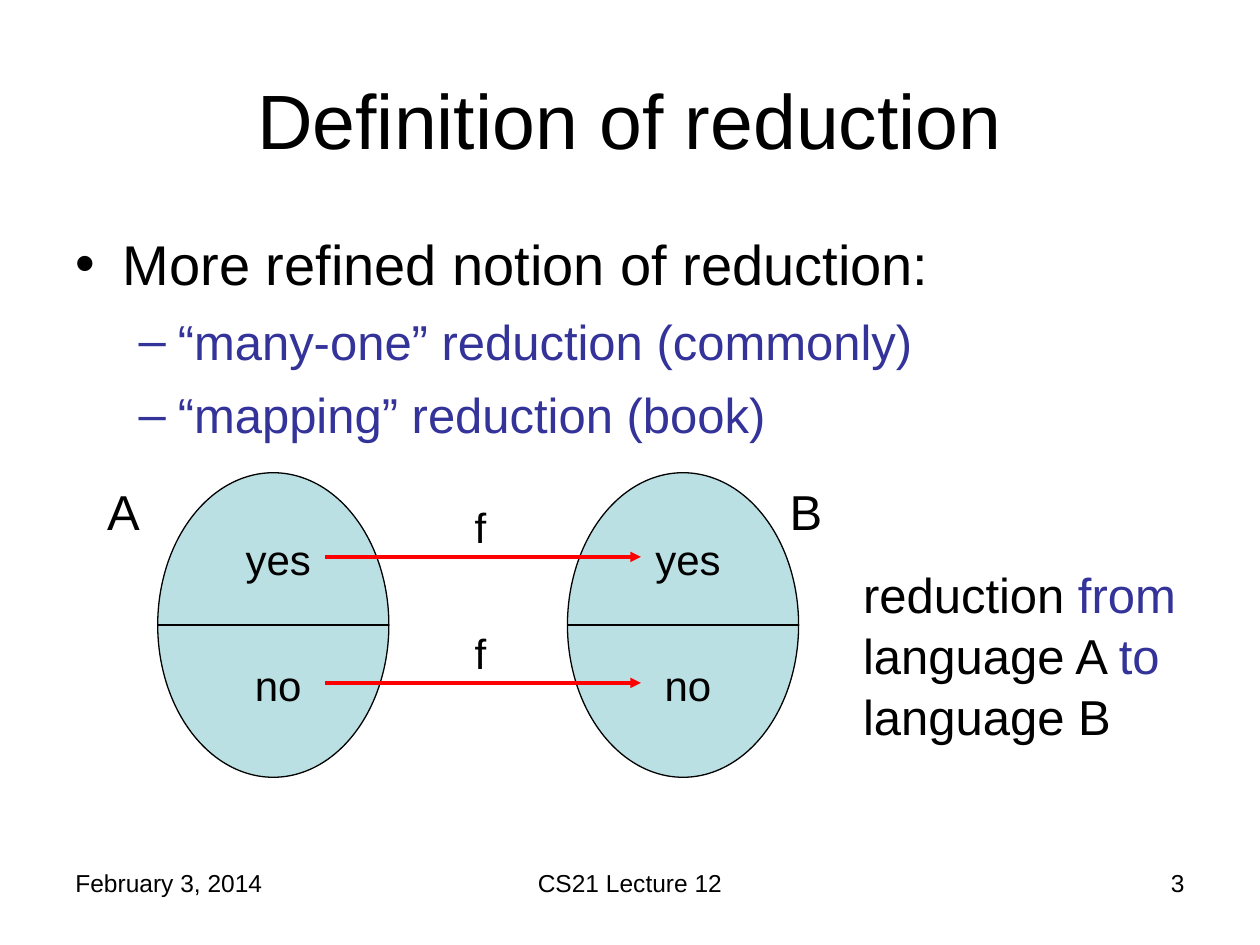
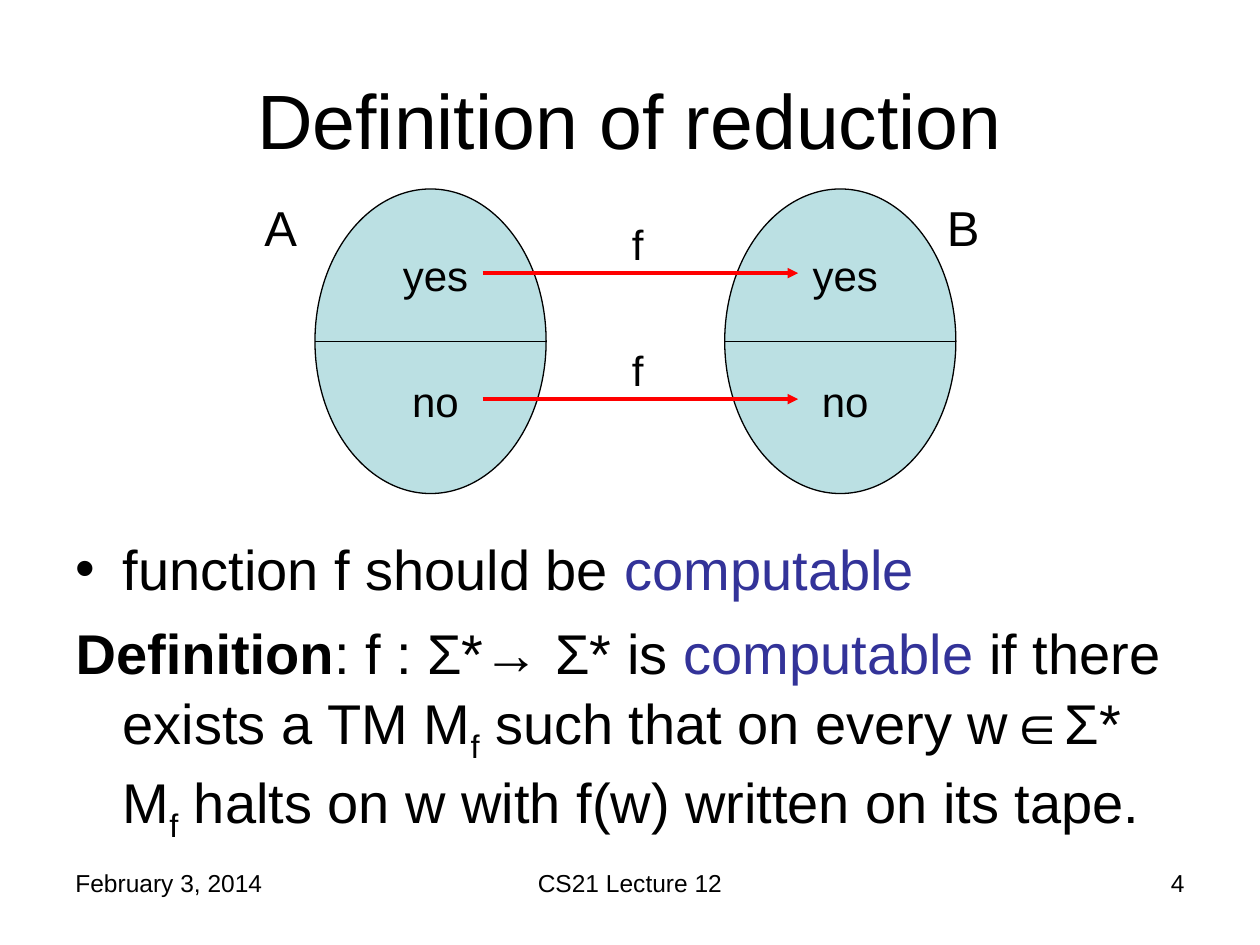
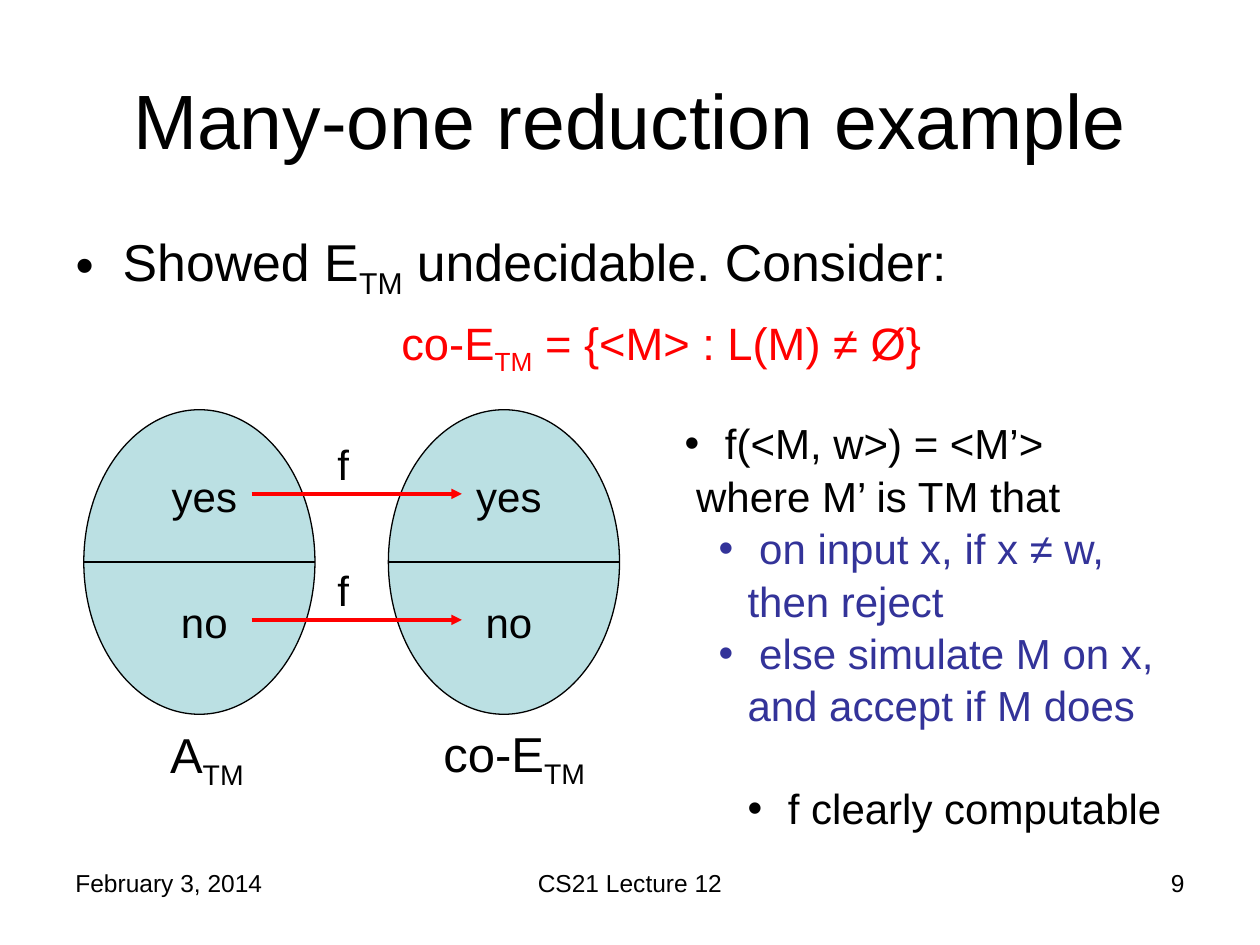
from dataclasses import dataclass

from lxml import etree
from pptx import Presentation
from pptx.dml.color import RGBColor
from pptx.enum import shapes, text
from pptx.oxml import ns
from pptx.util import Cm, Pt


@dataclass(frozen=True)
class Theme:
    font: str = "Arial"
    black: str = "000000"
    accent: str = "333399"
    red: str = "FF0000"
    ellipse: str = "BBE0E3"
    title: float = 44
    body: float = 32
    sub_body: float = 28
    label: float = 28
    small: float = 24
    footer: float = 14
    line_spacing: float = 1.04


theme = Theme()
LEFT, CENTER, RIGHT = text.PP_ALIGN.LEFT, text.PP_ALIGN.CENTER, text.PP_ALIGN.RIGHT

# Run styles
BLUE = {"color": theme.accent}
BOLD = {"bold": True}
SUB = {"baseline": "-25000"}

# Paragraph styles; margin and indent are in centimetres
ITEM = {"size": theme.body, "space": 8, "margin": 0.95, "indent": -0.95, "bullet": "•"}
SUB_ITEM = {"size": theme.sub_body, "space": 7, "level": 1, "color": theme.accent,
            "margin": 2.06, "indent": -0.79, "bullet": "–"}
PLAIN_ITEM = ITEM | {"bullet": None}
FORMULA = SUB_ITEM | {"size": 25.9, "color": theme.red, "align": CENTER, "bullet": None}
LABEL = {"size": theme.label}
SMALL = {"size": theme.small}
NOTE = SMALL | {"margin": 0.58, "indent": -0.58, "bullet": "•"}
SUB_NOTE = NOTE | {"margin": 1.27, "level": 1, "color": theme.accent}
LAST_NOTE = NOTE | {"margin": 1.85, "space": 28.8}


def write(shape, paragraphs):
    """Fill a shape with (style, runs) pairs; a run is a string or (string, run style)."""
    frame = shape.text_frame
    for name, value in {"word_wrap": True, "auto_size": text.MSO_AUTO_SIZE.NONE}.items():
        setattr(frame, name, value)
    for number, (style, runs) in enumerate(paragraphs):
        paragraph = frame.add_paragraph() if number else frame.paragraphs[0]
        values = {"alignment": style.get("align", LEFT), "level": style.get("level", 0),
                  "space_before": Pt(style.get("space", 0)),
                  "line_spacing": theme.line_spacing}
        for name, value in values.items():
            setattr(paragraph, name, value)
        properties = paragraph._p.get_or_add_pPr()
        properties.set("marL", str(Cm(style.get("margin", 0))))
        properties.set("indent", str(Cm(style.get("indent", 0))))
        if style.get("bullet"):
            etree.SubElement(properties, ns.qn("a:buFont"), typeface=theme.font)
            etree.SubElement(properties, ns.qn("a:buChar"), char=style["bullet"])
        else:
            etree.SubElement(properties, ns.qn("a:buNone"))
        for item in runs:
            words, extra = (item, {}) if isinstance(item, str) else item
            look = style | extra
            run = paragraph.add_run()
            run.text = words
            font_values = {"name": theme.font, "size": Pt(look["size"]),
                           "bold": look.get("bold", False)}
            for name, value in font_values.items():
                setattr(run.font, name, value)
            run.font.color.rgb = RGBColor.from_string(look.get("color", theme.black))
            if "baseline" in look:
                run._r.get_or_add_rPr().set("baseline", look["baseline"])


def add_line(slide, start_x, end_x, y, color, width, arrow=False):
    line = slide.shapes.add_connector(
        shapes.MSO_CONNECTOR.STRAIGHT, Cm(start_x), Cm(y), Cm(end_x), Cm(y))
    line.line.color.rgb = RGBColor.from_string(color)
    line.line.width = Pt(width)
    if arrow:
        etree.SubElement(line.line._get_or_add_ln(), ns.qn("a:tailEnd"), type="triangle")
    etree.SubElement(line._element.spPr, ns.qn("a:effectLst"))


# Boxes are left, top, width, height in centimetres
TITLE_BOX = (1.27, 0.76, 22.86, 3.18)
ELLIPSE_WIDTH, ELLIPSE_HEIGHT = 4.66, 6.14
DIVIDER_DROP = 3.07
ANSWER_INSET, ANSWER_WIDTH, ANSWER_HEIGHT = 1.48, 1.9, 1.27
ANSWERS = {"yes": 1.06, "no": 3.6}

slides = [
    {
        "number": "3",
        "title": "Definition of reduction",
        "body_box": (1.27, 4.45, 22.86, 4.65),
        "body": [
            (ITEM, ["More refined notion of reduction:"]),
            (SUB_ITEM, ["“many-one” reduction (commonly)"]),
            (SUB_ITEM, ["“mapping” reduction (book)"]),
        ],
        "diagram": (3.18, 9.53),
        "column_step": 8.26,
        "f_offset": 6.14,
        "texts": [
            ((1.91, 9.53, 1.47, 1.45), [(LABEL, ["A"])]),
            ((15.67, 9.53, 1.47, 1.45), [(LABEL, ["B"])]),
            ((17.15, 11.2, 6.99, 3.81), [
                (LABEL, ["reduction ", ("from", BLUE), " language A ", ("to", BLUE),
                         " language B"])]),
        ],
    },
    {
        "number": "4",
        "title": "Definition of reduction",
        "body_box": (1.27, 10.59, 22.86, 6.43),
        "body": [
            (ITEM, ["function f should be ", ("computable", BLUE)]),
            (PLAIN_ITEM, [("Definition", BOLD), ": f : Σ*→ Σ* is ", ("computable", BLUE),
                          " if there exists a TM M", ("f", SUB),
                          " such that on every w∈Σ* M", ("f", SUB),
                          " halts on w with f(w) written on its tape."]),
        ],
        "diagram": (6.35, 3.81),
        "column_step": 8.26,
        "f_offset": 6.14,
        "texts": [
            ((5.08, 3.81, 1.47, 1.45), [(LABEL, ["A"])]),
            ((18.84, 3.81, 1.47, 1.45), [(LABEL, ["B"])]),
        ],
    },
    {
        "number": "9",
        "title": "Many-one reduction example",
        "body_box": (1.27, 4.45, 22.86, 3.18),
        "body": [
            (ITEM | {"size": 29.6}, ["Showed E", ("TM", SUB), " undecidable. Consider:"]),
            (FORMULA, ["co-E", ("TM", SUB), " = {<M> : L(M) ≠ Ø}"]),
        ],
        "diagram": (1.69, 8.26),
        "column_step": 6.14,
        "f_offset": 4.86,
        "texts": [
            ((3.18, 14.43, 2.54, 1.6), [(LABEL, ["A", ("TM", SUB)])]),
            ((8.69, 14.4, 6.78, 1.6), [(LABEL, ["co-E", ("TM", SUB)])]),
            ((13.55, 8.26, 10.59, 8.38), [
                (NOTE, [" f(<M, w>) = <M’>"]),
                (SMALL, [" where M’ is TM that"]),
                (SUB_NOTE, [" on input x, if x ≠ w, then reject"]),
                (SUB_NOTE, [" else simulate M on x, and accept if M does"]),
                (LAST_NOTE, [" f clearly computable"]),
            ]),
        ],
    },
]

presentation = Presentation()
presentation.slide_width, presentation.slide_height = Cm(25.4), Cm(19.05)

for content in slides:
    slide = presentation.slides.add_slide(presentation.slide_layouts[1])
    title, body = slide.placeholders
    placeholders = [
        (title, TITLE_BOX, text.MSO_ANCHOR.MIDDLE,
         [({"size": theme.title, "align": CENTER}, [content["title"]])]),
        (body, content["body_box"], text.MSO_ANCHOR.TOP, content["body"]),
    ]
    for placeholder, box, anchor, paragraphs in placeholders:
        for name, value in zip(("left", "top", "width", "height"), box):
            setattr(placeholder, name, Cm(value))
        placeholder.text_frame.vertical_anchor = anchor
        write(placeholder, paragraphs)

    footer = {"size": theme.footer}
    text_boxes = [
        ((1.27, 17.35, 5.93, 1.32), [(footer, ["February 3, 2014"])]),
        ((8.68, 17.35, 8.04, 1.32), [(footer | {"align": CENTER}, ["CS21 Lecture 12"])]),
        ((18.2, 17.35, 5.93, 1.32), [(footer | {"align": RIGHT}, [content["number"]])]),
        *content["texts"],
    ]

    left, top = content["diagram"]
    step = content["column_step"]
    for column_left in (left, left + step):
        ellipse = slide.shapes.add_shape(
            shapes.MSO_SHAPE.OVAL, Cm(column_left), Cm(top),
            Cm(ELLIPSE_WIDTH), Cm(ELLIPSE_HEIGHT))
        ellipse.shadow.inherit = False
        ellipse.fill.solid()
        ellipse.fill.fore_color.rgb = RGBColor.from_string(theme.ellipse)
        ellipse.line.color.rgb = RGBColor.from_string(theme.black)
        ellipse.line.width = Pt(0.75)
        add_line(slide, column_left, column_left + ELLIPSE_WIDTH, top + DIVIDER_DROP,
                 theme.black, 0.75)
        for answer, drop in ANSWERS.items():
            text_boxes.append((
                (column_left + ANSWER_INSET, top + drop, ANSWER_WIDTH, ANSWER_HEIGHT),
                [(SMALL | {"align": CENTER}, [answer])]))

    for drop in ANSWERS.values():
        arrow_y = top + drop + ANSWER_HEIGHT / 2
        add_line(slide, left + ANSWER_INSET + ANSWER_WIDTH, left + step + ANSWER_INSET,
                 arrow_y, theme.red, 2, arrow=True)
        text_boxes.append((
            (left + content["f_offset"], arrow_y - ANSWER_HEIGHT, 1.47, ANSWER_HEIGHT),
            [(SMALL, ["f"])]))

    for box, paragraphs in text_boxes:
        write(slide.shapes.add_textbox(*map(Cm, box)), paragraphs)

presentation.save("out.pptx")
